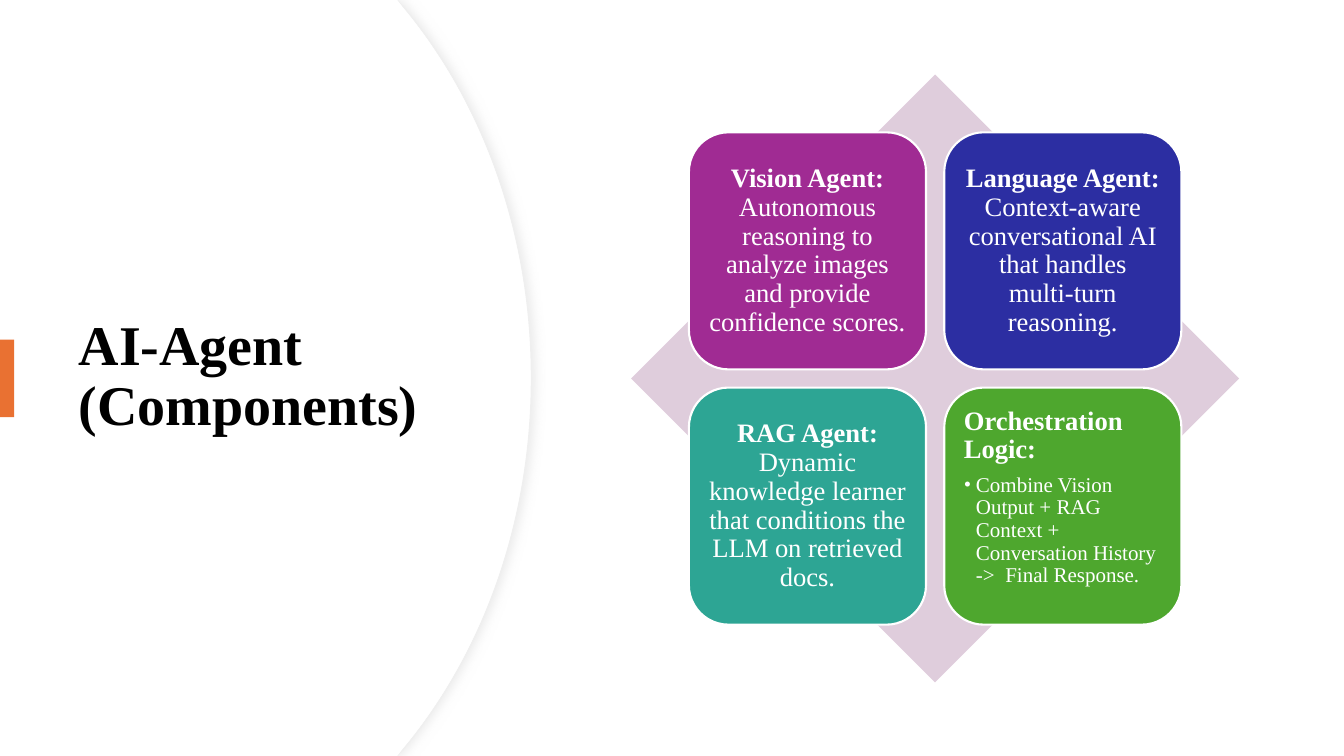
from lxml import etree
from pptx import Presentation
from pptx.dml.color import RGBColor
from pptx.enum.shapes import MSO_SHAPE
from pptx.enum.text import MSO_ANCHOR, PP_ALIGN
from pptx.oxml.ns import qn
from pptx.util import Inches, Pt

COLORS = {
    "white": "FFFFFF", "black": "000000", "edge": "EFEFEF", "shadow": "D9D9D9",
    "accent": "E97132", "diamond": "DFCDDC", "purple": "A02B93",
    "blue": "2C2EA2", "teal": "2DA594", "green": "4EA72E",
}
FONT = "Times New Roman"
TITLE = "AI-Agent (Components)"

# Each tile: fill, heading, description, whether the description is a bullet
TILES = [
    ("purple", "Vision Agent:",
     " Autonomous reasoning to analyze images and provide confidence scores.", False),
    ("blue", "Language Agent:",
     " Context-aware conversational AI that handles multi-turn reasoning.", False),
    ("teal", "RAG Agent:",
     " Dynamic knowledge learner that conditions the LLM on retrieved docs.", False),
    ("green", "Orchestration Logic:",
     "Combine Vision Output + RAG Context + Conversation History  ->  Final Response.", True),
]

# Diamond, with tiles placed as shares of its size
DIAMOND_LEFT, DIAMOND_TOP, DIAMOND_SIZE = 6.26, 0.74, 6.03
TILE_SIZE = 0.39 * DIAMOND_SIZE
TILE_MARGIN = 0.095 * DIAMOND_SIZE
TILE_STEP = 0.42 * DIAMOND_SIZE

SLIDE_HEIGHT = 7.5


def color(name):
    return RGBColor.from_string(COLORS[name])


def style_shape(shape, fill, line=None, width=1.0):
    shape.shadow.inherit = False
    shape.fill.solid()
    shape.fill.fore_color.rgb = color(fill)
    if line:
        shape.line.color.rgb = color(line)
        shape.line.width = Pt(width)
    else:
        shape.line.fill.background()


def add_text(paragraph, text, size=19, bold=False, fill="white", align=PP_ALIGN.LEFT):
    paragraph.alignment = align
    paragraph.line_spacing = 0.9
    run = paragraph.add_run()
    run.text = text
    run.font.name = FONT
    run.font.size = Pt(size)
    run.font.bold = bold
    run.font.color.rgb = color(fill)


def add_bullet(paragraph):
    properties = paragraph._p.get_or_add_pPr()
    properties.set("marL", str(Inches(0.12)))
    properties.set("indent", str(-Inches(0.12)))
    etree.SubElement(properties, qn("a:buFont")).set("typeface", FONT)
    etree.SubElement(properties, qn("a:buChar")).set("char", "•")


def bend_segment(segment, control1, control2):
    """Turn a straight segment into a cubic curve with the same end."""
    segment.tag = qn("a:cubicBezTo")
    for position, (x, y) in enumerate((control1, control2)):
        point = etree.Element(qn("a:pt"), x=str(Inches(x)), y=str(Inches(y)))
        segment.insert(position, point)


def add_curved_panel(slide, right):
    middle = SLIDE_HEIGHT / 2
    shoulder = (right - 1.26, 0.08)
    upper_controls = [(right - 0.48, 1.02), (right, 2.32)]
    lower_controls = [(x, SLIDE_HEIGHT - y) for x, y in reversed(upper_controls)]
    outline = [(3.94, 0), shoulder, (right, middle),
               (shoulder[0], SLIDE_HEIGHT - shoulder[1]),
               (3.94, SLIDE_HEIGHT), (0, SLIDE_HEIGHT)]
    builder = slide.shapes.build_freeform(0, 0, scale=1.0)
    builder.add_line_segments([(Inches(x), Inches(y)) for x, y in outline], close=True)
    panel = builder.convert_to_shape()
    segments = list(panel._element.iter(qn("a:lnTo")))
    bend_segment(segments[2], *upper_controls)
    bend_segment(segments[3], *lower_controls)
    return panel


def add_soft_shadow(shape):
    effects = shape._element.spPr.find(qn("a:effectLst"))
    shadow = etree.SubElement(effects, qn("a:outerShdw"), blurRad=str(Pt(7)),
                              dist=str(Pt(3)), dir="0", algn="l", rotWithShape="0")
    tint = etree.SubElement(shadow, qn("a:srgbClr"), val=COLORS["shadow"])
    etree.SubElement(tint, qn("a:alpha"), val="50000")


def add_tile(slide, left, top, fill, heading, description, bulleted):
    tile = slide.shapes.add_shape(MSO_SHAPE.ROUNDED_RECTANGLE, Inches(left), Inches(top),
                                  Inches(TILE_SIZE), Inches(TILE_SIZE))
    style_shape(tile, fill, "white", 1.5)
    frame = tile.text_frame
    frame.word_wrap = True
    frame.margin_left = frame.margin_right = Inches(0.08)
    frame.margin_top = frame.margin_bottom = Inches(0.08)
    frame.vertical_anchor = MSO_ANCHOR.TOP if bulleted else MSO_ANCHOR.MIDDLE
    align = PP_ALIGN.LEFT if bulleted else PP_ALIGN.CENTER
    paragraph = frame.paragraphs[0]
    add_text(paragraph, heading, bold=True, align=align)
    if bulleted:
        paragraph.space_after = Pt(6.65)
        paragraph = frame.add_paragraph()
        paragraph.level = 1
        add_bullet(paragraph)
    add_text(paragraph, description, size=15 if bulleted else 19, align=align)


def main():
    presentation = Presentation()
    presentation.slide_width = Inches(13.33)
    presentation.slide_height = Inches(SLIDE_HEIGHT)
    slide = presentation.slides.add_slide(presentation.slide_layouts[5])

    # Curved panel: shadowed edge below, plain white above
    edge = add_curved_panel(slide, 5.27)
    style_shape(edge, "white", "edge", 0.75)
    add_soft_shadow(edge)
    style_shape(add_curved_panel(slide, 5.26), "white")

    # Title, brought in front of the panel
    title = slide.shapes.title
    slide.shapes._spTree.append(title._element)
    title.left, title.top = Inches(0.68), Inches(1.27)
    title.width, title.height = Inches(3.94), Inches(4.95)
    title.text_frame.word_wrap = True
    title.text_frame.vertical_anchor = MSO_ANCHOR.MIDDLE
    add_text(title.text_frame.paragraphs[0], TITLE, size=40, bold=True, fill="black")

    # Accent bar and diamond
    bar = slide.shapes.add_shape(MSO_SHAPE.RECTANGLE, 0, Inches(3.37),
                                 Inches(0.14), Inches(0.77))
    style_shape(bar, "accent")
    diamond = slide.shapes.add_shape(MSO_SHAPE.DIAMOND, Inches(DIAMOND_LEFT),
                                     Inches(DIAMOND_TOP), Inches(DIAMOND_SIZE),
                                     Inches(DIAMOND_SIZE))
    style_shape(diamond, "diamond")

    # Two-by-two tiles
    for index, tile in enumerate(TILES):
        row, column = divmod(index, 2)
        add_tile(slide, DIAMOND_LEFT + TILE_MARGIN + column * TILE_STEP,
                 DIAMOND_TOP + TILE_MARGIN + row * TILE_STEP, *tile)

    presentation.save("out.pptx")


if __name__ == "__main__":
    main()
